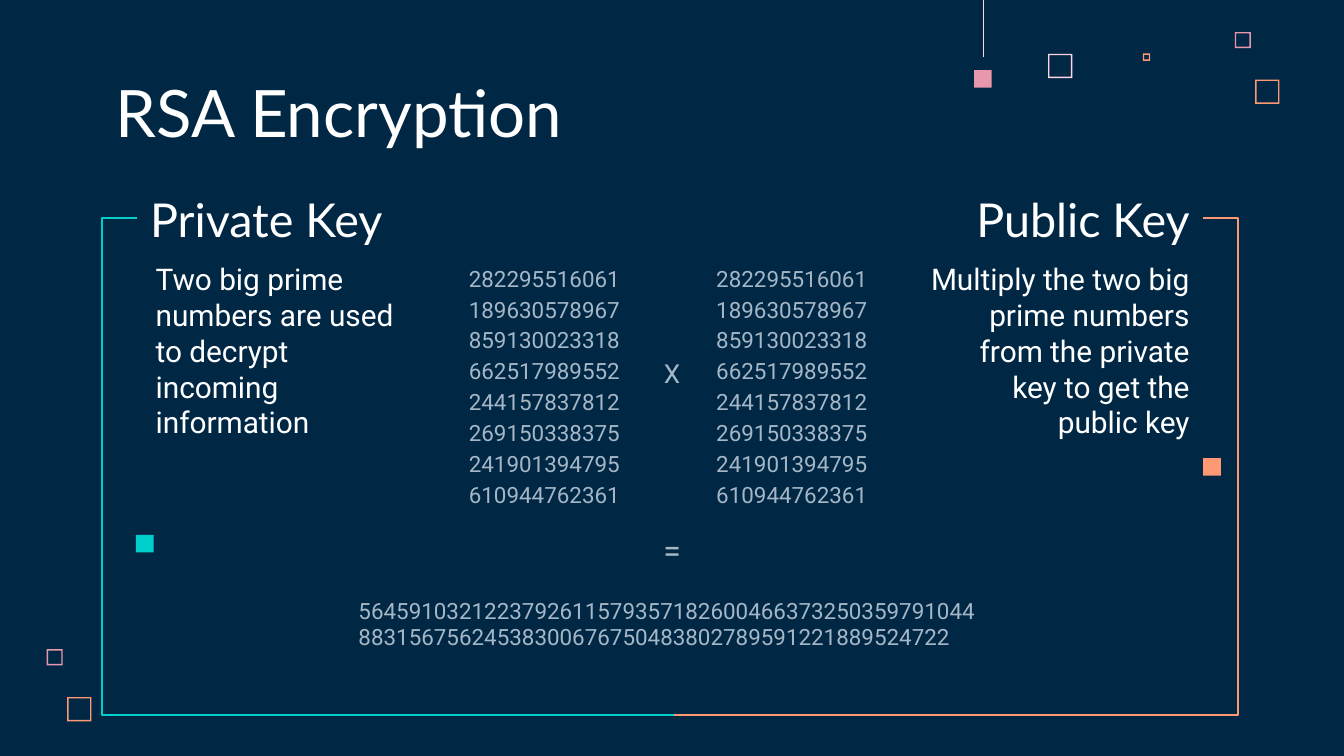
from typing import NamedTuple

from lxml.etree import SubElement
from pptx import Presentation
from pptx.dml.color import RGBColor
from pptx.enum.shapes import MSO_CONNECTOR, MSO_SHAPE
from pptx.enum.text import MSO_ANCHOR, PP_ALIGN
from pptx.oxml.ns import qn
from pptx.util import Pt

NAVY = RGBColor(0x00, 0x28, 0x45)
WHITE = RGBColor(0xFF, 0xFF, 0xFF)
BLUSH = RGBColor(0xFF, 0xD6, 0xE1)
PINK = RGBColor(0xE8, 0x98, 0xAC)
ORANGE = RGBColor(0xFF, 0x99, 0x73)
TEAL = RGBColor(0x00, 0xCF, 0xCC)
GREY = RGBColor(0xA5, 0xB7, 0xC6)

PRIME = (
    "282295516061189630578967859130023318662517989552"
    "244157837812269150338375241901394795610944762361"
)
PRODUCT = (
    "564591032122379261157935718260046637325035979104"
    "488315675624538300676750483802789591221889524722"
)
FRAME_WIDTH = 0.75


class Square(NamedTuple):
    left: float
    top: float
    size: float
    color: RGBColor
    hollow: bool = True


class Line(NamedTuple):
    x1: float
    y1: float
    x2: float
    y2: float
    color: RGBColor
    width: float = 0.75
    bend: float | None = None


class Box(NamedTuple):
    left: float
    top: float
    width: float
    height: float


SQUARES = [
    Square(561.5, 28.8, 13, BLUSH),
    Square(661.5, 17.2, 8.6, PINK),
    Square(612.2, 28.6, 4, ORANGE),
    Square(672.4, 42.6, 13, ORANGE),
    Square(25, 347.8, 8.6, PINK),
    Square(36, 373.4, 13, ORANGE),
    Square(521.8, 37.5, 9.5, PINK, hollow=False),
    Square(72.8, 286.5, 9.5, TEAL, hollow=False),
    Square(644.6, 245.4, 9.5, ORANGE, hollow=False),
]

LINES = [
    Line(527, 0, 527, 30.8, BLUSH, width=0.5),
    Line(73.4, 116.8, 361.2, 383, TEAL, bend=-0.065),
    Line(644.6, 116.8, 361.2, 383, ORANGE, bend=-0.066),
]


def add_square(s, square: Square) -> None:
    kind = MSO_SHAPE.FRAME if square.hollow else MSO_SHAPE.RECTANGLE
    sp = s.shapes.add_shape(
        kind, Pt(square.left), Pt(square.top), Pt(square.size), Pt(square.size)
    )
    if square.hollow:
        sp.adjustments[0] = FRAME_WIDTH / square.size
    sp.shadow.inherit = False
    sp.fill.solid()
    sp.fill.fore_color.rgb = square.color
    sp.line.fill.background()


def add_line(s, line: Line) -> None:
    kind = MSO_CONNECTOR.STRAIGHT if line.bend is None else MSO_CONNECTOR.ELBOW
    cxn = s.shapes.add_connector(
        kind, Pt(line.x1), Pt(line.y1), Pt(line.x2), Pt(line.y2)
    )
    cxn.line.color.rgb = line.color
    cxn.line.width = Pt(line.width)
    properties = cxn._element.spPr
    SubElement(properties, qn("a:effectLst"))
    if line.bend is not None:
        guides = properties.find(qn("a:prstGeom")).find(qn("a:avLst"))
        SubElement(
            guides, qn("a:gd"), name="adj1", fmla=f"val {round(line.bend * 100000)}"
        )


def add_text(
    s,
    text: str,
    box: Box,
    *,
    size: float,
    font: str = "Roboto",
    color: RGBColor = WHITE,
    align: PP_ALIGN = PP_ALIGN.LEFT,
    anchor: MSO_ANCHOR = MSO_ANCHOR.TOP,
    spacing: float = 1.0,
) -> None:
    tf = s.shapes.add_textbox(*map(Pt, box)).text_frame
    tf.word_wrap = True
    tf.vertical_anchor = anchor
    tf.margin_left = tf.margin_right = tf.margin_top = tf.margin_bottom = Pt(7.2)
    p = tf.paragraphs[0]
    p.alignment = align
    p.line_spacing = spacing
    r = p.add_run()
    r.text = text
    r.font.name = font
    r.font.size = Pt(size)
    r.font.color.rgb = color


def main() -> None:
    prs = Presentation()
    prs.slide_width, prs.slide_height = Pt(720), Pt(405)
    s = prs.slides.add_slide(prs.slide_layouts[6])
    s.background.fill.solid()
    s.background.fill.fore_color.rgb = NAVY

    for square in SQUARES:
        add_square(s, square)
    for line in LINES:
        add_line(s, line)

    heading = {"font": "Lato", "anchor": MSO_ANCHOR.BOTTOM}
    right = {"align": PP_ALIGN.RIGHT}
    number = {"size": 12, "color": GREY}
    operator = {"color": GREY, "align": PP_ALIGN.CENTER}

    add_text(s, "RSA Encryption", Box(54.9, 42.5, 484.6, 45.4), size=35, **heading)
    add_text(s, "Private Key", Box(73.4, 94.3, 153.4, 45.4), size=25, **heading)
    add_text(s, "Public Key", Box(514.8, 94.3, 129.6, 45.4), size=25, **heading, **right)
    add_text(
        s,
        "Two big prime numbers are used to decrypt incoming information",
        Box(76.3, 132.5, 153.4, 163.4),
        size=16,
    )
    add_text(
        s,
        "Multiply the two big prime numbers from the private key to get the public key",
        Box(491, 132.5, 153.4, 136.8),
        size=16,
        **right,
    )
    for left in (244.1, 376.6):
        add_text(s, PRIME, Box(left, 132.5, 99.4, 179.3), spacing=1.15, **number)
    add_text(s, PRODUCT, Box(185, 312.5, 349.9, 43.9), **number)
    add_text(s, "X", Box(347.4, 184.3, 25.2, 31.7), size=14, **operator)
    add_text(s, "=", Box(344.2, 277.2, 31.7, 35.3), size=17, **operator)

    prs.save("out.pptx")


if __name__ == "__main__":
    main()
